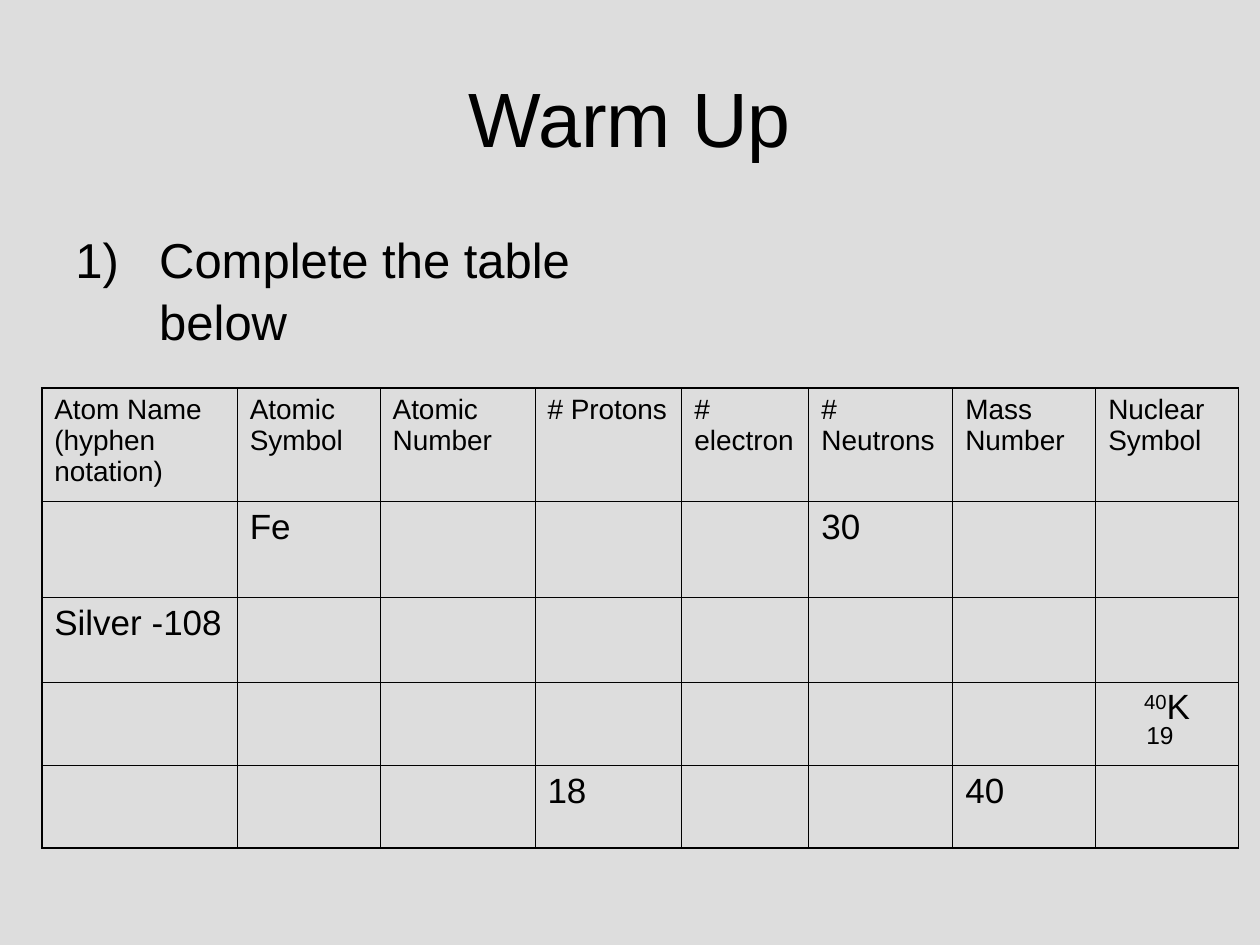
from lxml.etree import SubElement
from pptx import Presentation
from pptx.dml.color import RGBColor
from pptx.enum.text import MSO_ANCHOR, MSO_AUTO_SIZE, PP_ALIGN
from pptx.oxml import parse_xml
from pptx.oxml.ns import nsdecls, qn
from pptx.util import Cm, Pt

BLACK = RGBColor(0x00, 0x00, 0x00)
GREY = RGBColor(0xDD, 0xDD, 0xDD)
THIN, THICK = Pt(0.45), Pt(1.08)

COLUMNS = [3.94, 2.88, 3.12, 2.96, 2.56, 2.9, 2.88, 2.88]
ROWS = [2.29, 1.95, 1.7, 1.68, 1.68]
HEADINGS = ["Atom Name (hyphen notation)", "Atomic Symbol", "Atomic Number", "# Protons",
            "# electron", "# Neutrons", "Mass Number", "Nuclear Symbol"]
GIVENS = {(1, 1): "Fe", (1, 5): "30", (2, 0): "Silver -108", (4, 3): "18", (4, 6): "40"}


def apply_format(target, values):
    for attribute, value in values.items():
        setattr(target, attribute, value)


def write(paragraph, wording, size):
    run = paragraph.add_run()
    run.text = wording
    apply_format(run.font, {"size": Pt(size), "name": "Arial"})
    run.font.color.rgb = BLACK
    return run


def add_text(slide, box, wording, size, frame_format, paragraph_format):
    frame = slide.shapes.add_textbox(*map(Cm, box)).text_frame
    apply_format(frame, frame_format)
    paragraph = frame.paragraphs[0]
    apply_format(paragraph, paragraph_format)
    write(paragraph, wording, size)
    return paragraph


def add_title(slide, box):
    add_text(slide, box, "Warm Up", 44,
             {"word_wrap": True, "vertical_anchor": MSO_ANCHOR.MIDDLE},
             {"alignment": PP_ALIGN.CENTER})


def add_task(slide, box):
    task = add_text(slide, box, "Complete the table below", 28,
                    {"word_wrap": True}, {"line_spacing": 1.05})
    properties = task._p.get_or_add_pPr()
    apply_indent = {"marL": Cm(1.69), "indent": -Cm(1.69)}
    for attribute, length in apply_indent.items():
        properties.set(attribute, str(int(length)))
    SubElement(properties, qn("a:buFont"), typeface="Arial")
    SubElement(properties, qn("a:buAutoNum"), type="arabicParenR")


def set_borders(cell, row, column):
    outer = {"L": column == 0, "R": column == len(COLUMNS) - 1,
             "T": row == 0, "B": row == len(ROWS) - 1}
    properties = cell._tc.get_or_add_tcPr()
    for position, (side, is_outer) in enumerate(outer.items()):
        width = THICK if is_outer else THIN
        properties.insert(position, parse_xml(
            f'<a:ln{side} {nsdecls("a")} w="{int(width)}"><a:solidFill>'
            f'<a:srgbClr val="{BLACK}"/></a:solidFill></a:ln{side}>'))


def add_nuclear_symbol(paragraph):
    paragraph.alignment = PP_ALIGN.CENTER
    mass = write(paragraph, "40", 20)
    mass._r.get_or_add_rPr().set("baseline", "30000")
    write(paragraph, "K", 20)


def add_atom_table(slide, box):
    left, top, width, height = box
    atoms = slide.shapes.add_table(len(ROWS), len(COLUMNS), *map(Cm, box)).table
    apply_format(atoms, {"first_row": False, "horz_banding": False})
    for column, share in zip(atoms.columns, COLUMNS):
        column.width = Cm(width * share / sum(COLUMNS))
    for row, share in zip(atoms.rows, ROWS):
        row.height = Cm(height * share / sum(ROWS))
    for row in range(len(ROWS)):
        for column in range(len(COLUMNS)):
            cell = atoms.cell(row, column)
            cell.fill.background()
            set_borders(cell, row, column)
            if row == 0:
                write(cell.text_frame.paragraphs[0], HEADINGS[column], 16)
            elif (row, column) in GIVENS:
                write(cell.text_frame.paragraphs[0], GIVENS[row, column], 20)
    add_nuclear_symbol(atoms.cell(3, 7).text_frame.paragraphs[0])
    add_text(slide, (left + 22.02, top + 6.58, 1.07, 0.86), "19", 14,
             {"word_wrap": False, "auto_size": MSO_AUTO_SIZE.SHAPE_TO_FIT_TEXT}, {})


def main():
    deck = Presentation()
    apply_format(deck, {"slide_width": Cm(25.4), "slide_height": Cm(19.05)})
    slide = deck.slides.add_slide(deck.slide_layouts[6])
    slide.background.fill.solid()
    slide.background.fill.fore_color.rgb = GREY
    add_title(slide, (1.27, 0.76, 22.86, 3.18))
    add_task(slide, (1.27, 4.45, 11.23, 2.74))
    add_atom_table(slide, (0.84, 7.82, 24.13, 9.28))
    deck.save("out.pptx")


if __name__ == "__main__":
    main()
